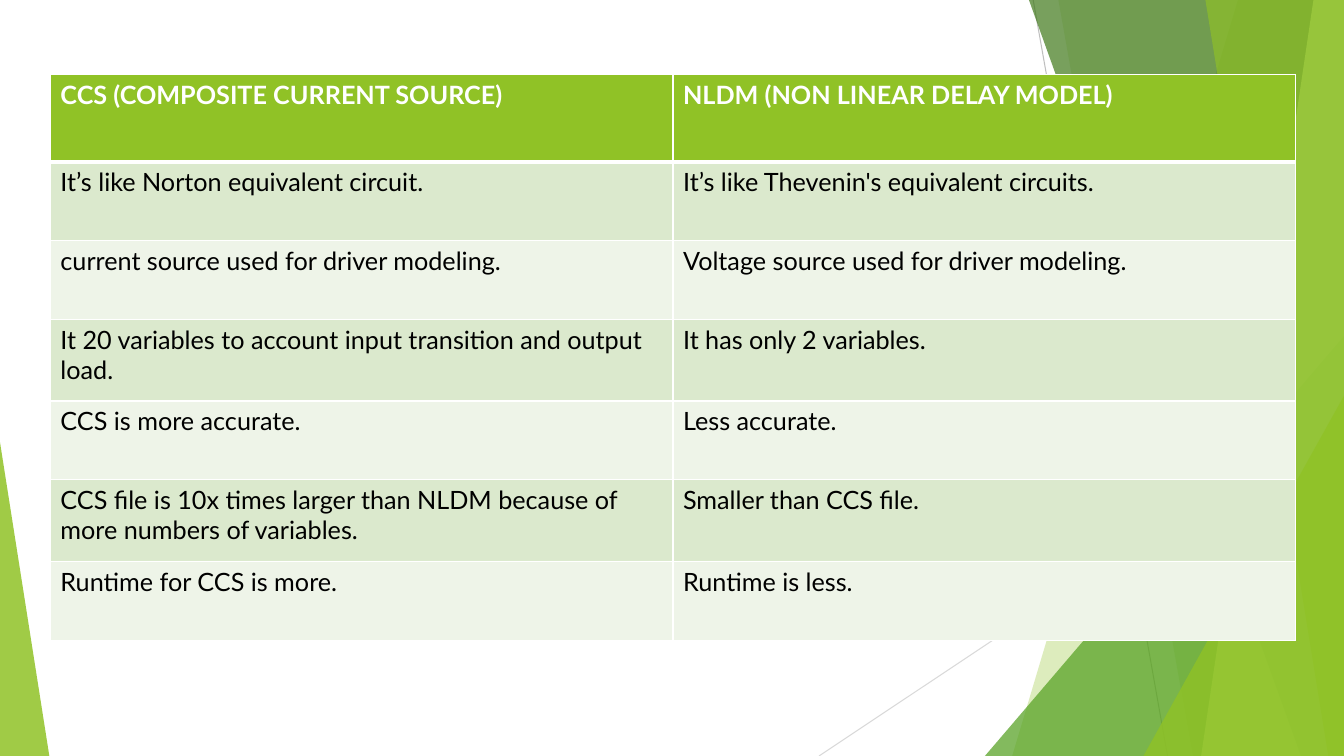
from dataclasses import dataclass

from lxml.etree import SubElement
from pptx import Presentation
from pptx.dml.color import RGBColor
from pptx.enum.shapes import MSO_CONNECTOR, MSO_SHAPE
from pptx.oxml import parse_xml
from pptx.oxml.ns import nsdecls, qn
from pptx.util import Pt

PX = 9525  # EMU per px
SLIDE_BOX = (0, 0, 1280, 720)
TABLE_BOX = (48, 71, 1186, 539)


@dataclass(frozen=True)
class Theme:
    font: str = "Lato"
    text_size: int = 18
    green: str = "90C226"
    mid_green: str = "54A021"
    dark_green: str = "3F7819"
    light_green: str = "C0E474"
    band_dark: str = "DBE9CD"
    band_light: str = "EEF4E8"
    white: str = "FFFFFF"
    black: str = "000000"
    steep_line: str = "BFBFBF"
    flat_line: str = "D9D9D9"


THEME = Theme()

COMPARISON = [
    ("CCS (COMPOSITE CURRENT SOURCE)", "NLDM (NON LINEAR DELAY MODEL)"),
    ("It’s like Norton equivalent circuit.", "It’s like Thevenin's equivalent circuits."),
    ("current source used for driver modeling.", "Voltage source used for driver modeling."),
    ("It 20 variables to account input transition and output load.", "It has only 2 variables."),
    ("CCS is more accurate.", "Less accurate."),
    ("CCS file is 10x times larger than NLDM because of more numbers of variables.",
     "Smaller than CCS file."),
    ("Runtime for CCS is more.", "Runtime is less."),
]
ROW_HEIGHTS = [83, 75, 75, 78, 75, 78, 75]


def color(code):
    return RGBColor.from_string(code)


def paint(facet, code, opacity):
    """Fill a facet with a see-through colour and no outline."""
    facet.shadow.inherit = False
    facet.line.fill.background()
    facet.fill.solid()
    facet.fill.fore_color.rgb = color(code)
    tint = facet.element.xpath("./p:spPr/a:solidFill/a:srgbClr")[0]
    SubElement(tint, qn("a:alpha")).set("val", str(opacity * 1000))


def add_hairline(slide, start, end, code):
    hairline = slide.shapes.add_connector(
        MSO_CONNECTOR.STRAIGHT, *(n * PX for n in (*start, *end)))
    hairline.line.color.rgb = color(code)
    hairline.line.width = Pt(0.75)
    SubElement(hairline.element.spPr, qn("a:effectLst"))


def add_band(slide, box, top_x, bottom_x, code, opacity):
    """Full-height band between a slanted left edge and the right side of the box."""
    left, top, width, height = box
    right, bottom = left + width, top + height
    outline = slide.shapes.build_freeform((left + top_x) * PX, top * PX, scale=1.0)
    corners = [(right, top), (right, bottom), (left + bottom_x, bottom)]
    outline.add_line_segments([(x * PX, y * PX) for x, y in corners], close=True)
    paint(outline.convert_to_shape(), code, opacity)


def add_wedge(slide, box, width, height, apex, code, opacity):
    """Right triangle in a lower corner of the box; apex 0 is left, 1 is right."""
    left = box[0] + apex * (box[2] - width)
    top = box[1] + box[3] - height
    wedge = slide.shapes.add_shape(
        MSO_SHAPE.ISOSCELES_TRIANGLE, *(n * PX for n in (left, top, width, height)))
    wedge.adjustments[0] = apex
    paint(wedge, code, opacity)


def add_facets(slide, box):
    left, top, width, height = box
    right, bottom = left + width, top + height
    # Thin crossing lines
    add_hairline(slide, (left + 984, top), (left + 1112, bottom), THEME.steep_line)
    add_hairline(slide, (right, top + 387), (left + 780, bottom), THEME.flat_line)
    # Overlapping green facets, back to front
    add_band(slide, box, 1179, 964, THEME.green, 30)
    add_band(slide, box, 1008, 1136, THEME.green, 20)
    add_wedge(slide, box, 342, 400, 1, THEME.mid_green, 72)
    add_band(slide, box, 980, 1239, THEME.dark_green, 70)
    add_band(slide, box, 1251, 1144, THEME.light_green, 70)
    add_band(slide, box, 1148, 1265, THEME.green, 65)
    add_wedge(slide, box, 191, 343, 1, THEME.green, 80)
    add_wedge(slide, box, 47, 299, 0, THEME.green, 85)


def format_cell(cell, wording, row_index):
    is_header = row_index == 0
    band = THEME.band_dark if row_index % 2 else THEME.band_light
    cell.fill.solid()
    cell.fill.fore_color.rgb = color(THEME.green if is_header else band)
    cell.text = wording
    font = cell.text_frame.paragraphs[0].runs[0].font
    font.name = THEME.font
    font.size = Pt(THEME.text_size)
    font.bold = is_header
    font.color.rgb = color(THEME.white if is_header else THEME.black)


def add_borders(cell_properties, row_index):
    thick_side = {0: "lnB", 1: "lnT"}.get(row_index)
    for position, side in enumerate(("lnL", "lnR", "lnT", "lnB")):
        points = 3 if side == thick_side else 1
        cell_properties.insert(position, parse_xml(
            f'<a:{side} {nsdecls("a")} w="{Pt(points)}"><a:solidFill>'
            f'<a:srgbClr val="{THEME.white}"/></a:solidFill></a:{side}>'))


def add_comparison(slide, box):
    frame = slide.shapes.add_table(
        len(COMPARISON), len(COMPARISON[0]), *(n * PX for n in box))
    comparison = frame.table
    for column in comparison.columns:
        column.width = box[2] * PX // len(COMPARISON[0])
    # Wording and fills
    for row_index, (wordings, height) in enumerate(zip(COMPARISON, ROW_HEIGHTS)):
        comparison.rows[row_index].height = height * PX
        for column_index, wording in enumerate(wordings):
            format_cell(comparison.cell(row_index, column_index), wording, row_index)
    # White grid, heavier under the header
    for row_index, row in enumerate(frame.element.xpath(".//a:tr")):
        for cell_properties in row.iter(qn("a:tcPr")):
            add_borders(cell_properties, row_index)


def main():
    deck = Presentation()
    deck.slide_width, deck.slide_height = (n * PX for n in SLIDE_BOX[2:])
    slide = deck.slides.add_slide(deck.slide_layouts.get_by_name("Blank"))
    slide.background.fill.solid()
    slide.background.fill.fore_color.rgb = color(THEME.white)
    add_facets(slide, SLIDE_BOX)
    add_comparison(slide, TABLE_BOX)
    deck.save("out.pptx")


if __name__ == "__main__":
    main()
